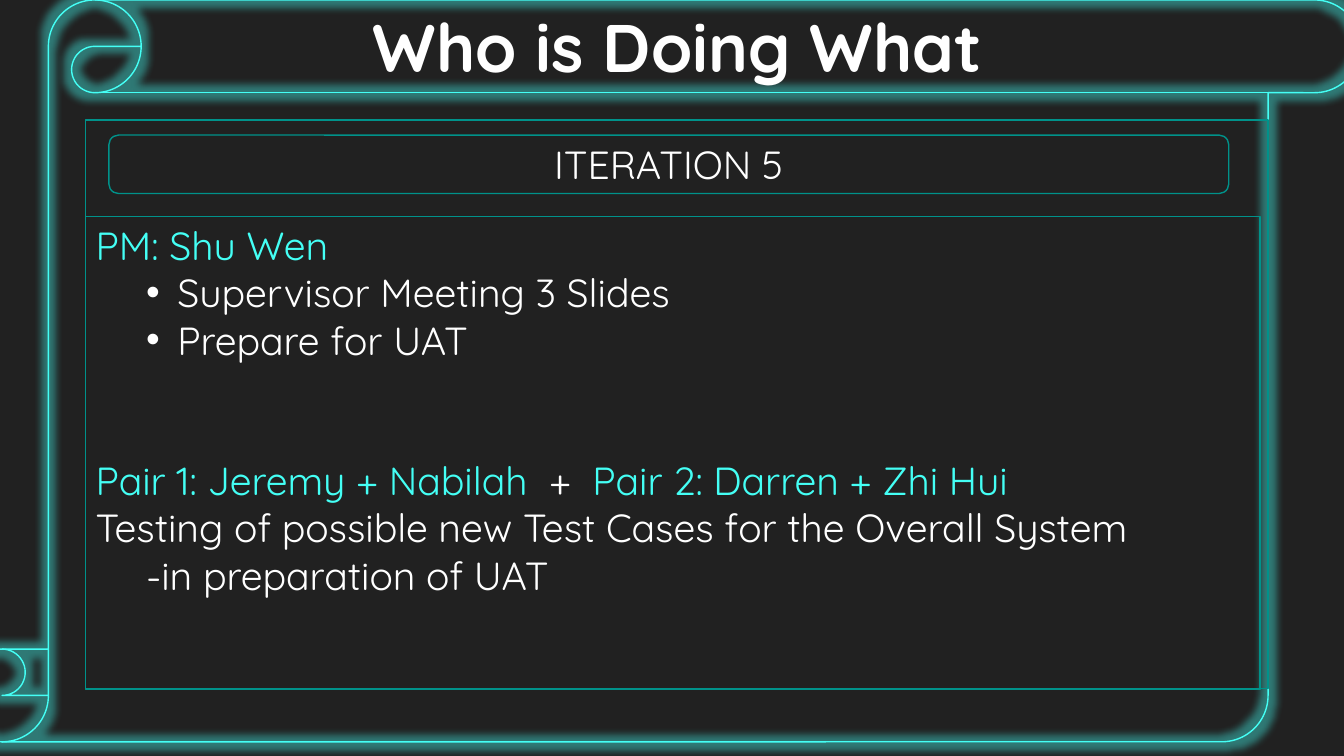
import pptx
import pptx.dml.color
import pptx.enum.shapes
import pptx.enum.text
import pptx.oxml
import pptx.oxml.ns
import pptx.util
from lxml import etree

SHAPES = pptx.enum.shapes.MSO_SHAPE
ALIGN = pptx.enum.text.PP_ALIGN
ANCHOR = pptx.enum.text.MSO_ANCHOR
Inches = pptx.util.Inches
Pt = pptx.util.Pt

SLIDE_WIDTH, SLIDE_HEIGHT = Inches(13.33), Inches(7.5)
FONT = "Quicksand"
BACKGROUND, WHITE, CYAN, TEAL = "212121", "FFFFFF", "44FFF5", "00928A"


def color(value):
    return pptx.dml.color.RGBColor.from_string(value)


def area(left, top, width, height):
    """Turn percentages of the slide's size into lengths."""
    sides = (SLIDE_WIDTH, SLIDE_HEIGHT) * 2
    return [int(side * share / 100)
            for side, share in zip(sides, (left, top, width, height))]


def add_outline(page, kind, place, line_color):
    shape = page.shapes.add_shape(kind, *area(*place))
    shape.shadow.inherit = False
    shape.fill.background()
    shape.line.color.rgb = color(line_color)
    shape.line.width = Pt(1)
    return shape


def add_glow(shape, glow_color, radius, opacity):
    effects = shape._element.spPr.find(pptx.oxml.ns.qn("a:effectLst"))
    glow = etree.SubElement(effects, pptx.oxml.ns.qn("a:glow"), rad=str(radius))
    tint = etree.SubElement(glow, pptx.oxml.ns.qn("a:srgbClr"), val=glow_color)
    etree.SubElement(tint, pptx.oxml.ns.qn("a:alpha"), val=str(opacity * 1000))


def write(para, spans, size=28, align=ALIGN.LEFT, bold=False):
    """Fill a paragraph with (text, color) spans."""
    para.alignment = align
    para.font.name = FONT
    para.font.size = Pt(size)
    para.font.bold = bold
    for text, text_color in spans:
        span = para.add_run()
        span.text = text
        span.font.color.rgb = color(text_color)


def indent(para, margin, hanging=0, bullet=None):
    properties = para._p.get_or_add_pPr()
    properties.set("marL", str(Inches(margin)))
    properties.set("indent", str(-Inches(hanging)))
    if bullet:
        etree.SubElement(properties, pptx.oxml.ns.qn("a:buFont"), typeface="Arial")
        etree.SubElement(properties, pptx.oxml.ns.qn("a:buChar"), char=bullet)
        # Bullet elements must precede the default run properties.
        properties.append(properties.find(pptx.oxml.ns.qn("a:defRPr")))


def add_title(page, text):
    box = page.shapes.add_textbox(*area(26.63, 0, 47.55, 12.13))
    box.text_frame.word_wrap = False
    write(box.text_frame.paragraphs[0], [(text, WHITE)], 48, ALIGN.CENTER, True)


def add_heading(page, text):
    box = add_outline(page, SHAPES.ROUNDED_RECTANGLE, (8.1, 17.87, 83.33, 7.73), TEAL)
    box.text_frame.vertical_anchor = ANCHOR.MIDDLE
    write(box.text_frame.paragraphs[0], [(text, WHITE)], align=ALIGN.CENTER)


def add_tasks(page):
    box = add_outline(page, SHAPES.RECTANGLE, (6.38, 28.67, 87.38, 62.53), TEAL)
    frame = box.text_frame
    frame.word_wrap = True
    frame.vertical_anchor = ANCHOR.TOP
    write(frame.paragraphs[0], [("PM: Shu Wen", CYAN)])
    for task in ("Supervisor Meeting 3 Slides", "Prepare for UAT"):
        para = frame.add_paragraph()
        write(para, [(task, WHITE)])
        indent(para, 0.81, 0.31, "•")
    pairs = frame.add_paragraph()
    pairs.space_before = Pt(67)
    write(pairs, [("Pair 1: Jeremy + Nabilah  ", CYAN), ("+  ", WHITE),
                  ("Pair 2: Darren + Zhi Hui", CYAN)])
    write(frame.add_paragraph(),
          [("Testing of possible new Test Cases for the Overall System", WHITE)])
    purpose = frame.add_paragraph()
    write(purpose, [("-in preparation of UAT", WHITE)])
    indent(purpose, 0.5)


def main():
    deck = pptx.Presentation()
    deck.slide_width, deck.slide_height = SLIDE_WIDTH, SLIDE_HEIGHT
    page = deck.slides.add_slide(deck.slide_layouts[6])
    page.background.fill.solid()
    page.background.fill.fore_color.rgb = color(BACKGROUND)

    scroll = add_outline(page, SHAPES.VERTICAL_SCROLL, (-3.3, 0, 104.55, 98.13), CYAN)
    add_glow(scroll, CYAN, Pt(11), 40)
    add_outline(page, SHAPES.RECTANGLE, (6.38, 15.87, 87.98, 75.2), TEAL)
    add_title(page, "Who is Doing What")
    add_heading(page, "ITERATION 5")
    add_tasks(page)
    deck.save("out.pptx")


if __name__ == "__main__":
    main()
